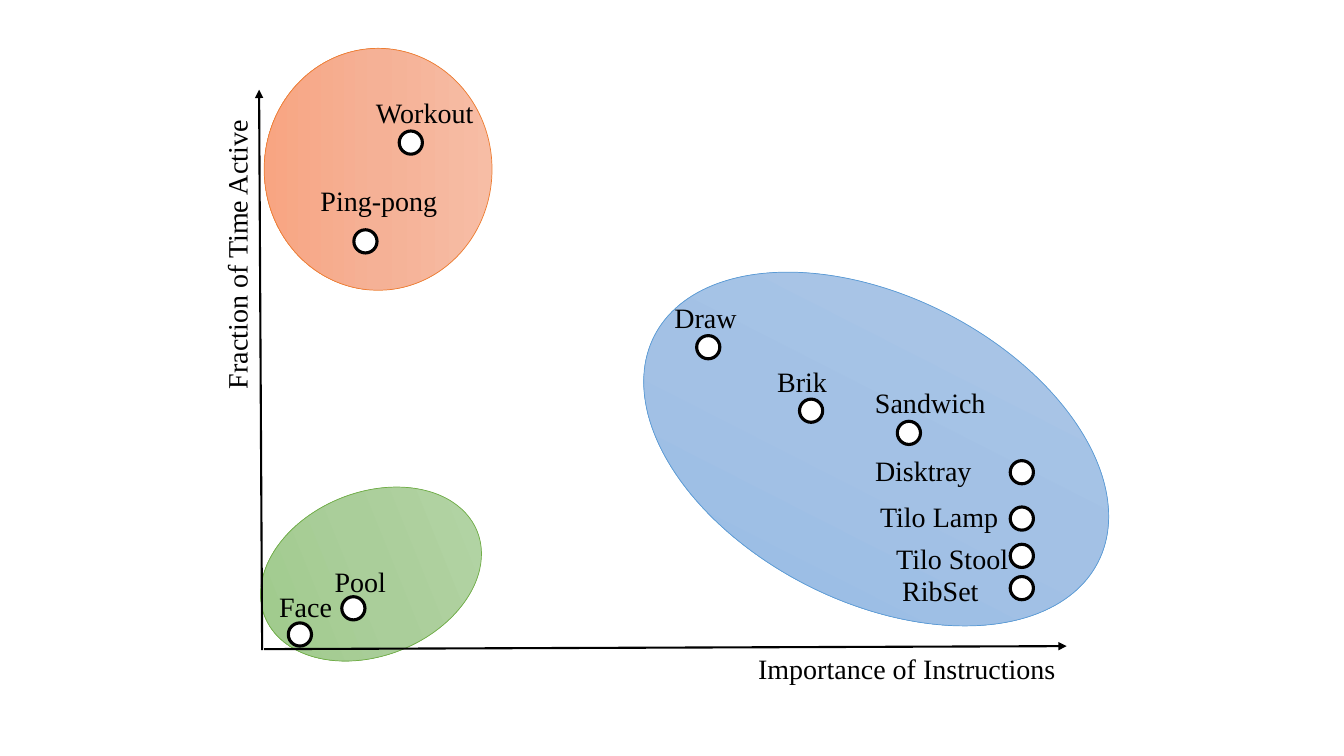
from copy import deepcopy

from lxml import etree
from pptx import Presentation
from pptx.dml.color import RGBColor
from pptx.enum.shapes import MSO_CONNECTOR, MSO_SHAPE
from pptx.enum.text import MSO_AUTO_SIZE
from pptx.oxml.ns import qn
from pptx.util import Inches, Pt

OVAL = MSO_SHAPE.OVAL
STRAIGHT = MSO_CONNECTOR.STRAIGHT
GROW = MSO_AUTO_SIZE.SHAPE_TO_FIT_TEXT
FONT = "Times New Roman"
BLACK, WHITE = "000000", "FFFFFF"
DOT_SIZE = 0.23
LABEL_HEIGHT = 0.44

CLUSTERS = [
    ((2.87, 4.56, 1.62, 2.27), 68, ("B5D5A7", "AACE9A", "9CC987"), "70AD47"),
    ((2.55, 0.55, 2.4, 2.26), 90, ("F7BDA5", "F5B196", "F8A582"), "ED7D31"),
    ((6.22, 2.94, 4.94, 3.03), 27, ("B1CBE9", "A3C1E5", "93B9E4"), "5B9BD5"),
]
AXES = [
    ((2.6, 6.45), (2.57, 0.89)),
    ((2.62, 6.44), (10.58, 6.41)),
]
AXIS_TITLES = [
    ("Importance of Instructions", (7.42, 6.41, 3.53, 0.43), 0),
    ("Fraction of Time Active", (0.81, 2.21, 3.07, 0.43), 270),
]
ACTIVITIES = [
    ("Workout", (3.96, 1.3), (3.63, 0.9), 1.25),
    ("Ping-pong", (3.51, 2.28), (3.08, 1.77), 1.43),
    ("Draw", (6.91, 3.33), (6.59, 2.93), 0.84),
    ("Brik", (7.93, 3.96), (7.61, 3.57), 0.84),
    ("Sandwich", (8.9, 4.18), (8.58, 3.78), 1.5),
    ("Disktray", (10.02, 4.57), (8.58, 4.45), 1.45),
    ("Tilo Lamp", (10.02, 5.03), (8.63, 4.91), 1.51),
    ("Tilo Stool", (10.02, 5.4), (8.79, 5.32), 1.35),
    ("RibSet", (10.02, 5.72), (8.85, 5.64), 1.23),
    ("Pool", (3.39, 5.92), (3.22, 5.55), 0.84),
    ("Face", (2.86, 6.18), (2.67, 5.8), 0.88),
]


def color(value):
    return RGBColor.from_string(value)


def add_oval(bounds, line_color, line_width):
    oval = page.shapes.add_shape(OVAL, *map(Inches, bounds))
    oval.shadow.inherit = False
    oval.line.color.rgb = color(line_color)
    oval.line.width = Pt(line_width)
    return oval


def add_cluster(bounds, rotation, shades, outline):
    cluster = add_oval(bounds, outline, 0.5)
    cluster.rotation = rotation
    fill = cluster.fill
    fill.gradient()
    fill.gradient_angle = 270
    stop_list = next(cluster._element.iter(qn("a:gsLst")))
    stop_list.insert(1, deepcopy(stop_list[0]))
    for stop, shade, position in zip(fill.gradient_stops, shades, (0, 0.5, 1)):
        stop.color.rgb = color(shade)
        stop.position = position


def add_axis(start, end):
    axis = page.shapes.add_connector(STRAIGHT, *map(Inches, start + end))
    axis.line.color.rgb = color(BLACK)
    axis.line.width = Pt(1.5)
    etree.SubElement(axis.line._get_or_add_ln(), qn("a:tailEnd"), type="triangle")
    etree.SubElement(axis._element.spPr, qn("a:effectLst"))


def add_label(text, bounds, rotation=0):
    box = page.shapes.add_textbox(*map(Inches, bounds))
    box.rotation = rotation
    frame = box.text_frame
    frame.word_wrap = True
    frame.auto_size = GROW
    frame.text = text
    font = frame.paragraphs[0].runs[0].font
    font.name = FONT
    font.size = Pt(20)
    font.color.rgb = color(BLACK)


def add_dot(left, top):
    dot = add_oval((left, top, DOT_SIZE, DOT_SIZE), BLACK, 2.25)
    dot.fill.solid()
    dot.fill.fore_color.rgb = color(WHITE)


deck = Presentation()
deck.slide_width = Inches(13.33)
deck.slide_height = Inches(7.5)
page = deck.slides.add_slide(deck.slide_layouts[6])

for cluster in CLUSTERS:
    add_cluster(*cluster)
for axis in AXES:
    add_axis(*axis)
for title in AXIS_TITLES:
    add_label(*title)
for name, dot_at, label_at, label_width in ACTIVITIES:
    add_dot(*dot_at)
    add_label(name, (*label_at, label_width, LABEL_HEIGHT))

deck.save("out.pptx")
